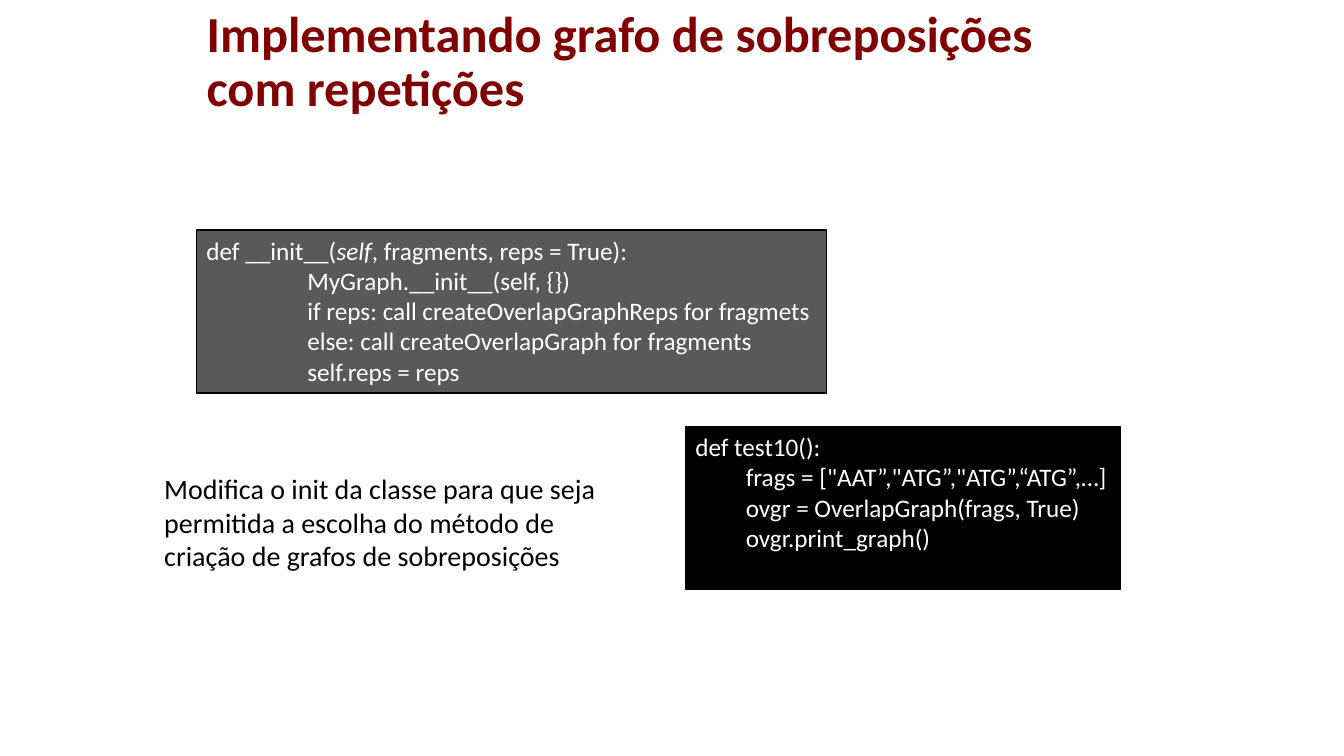
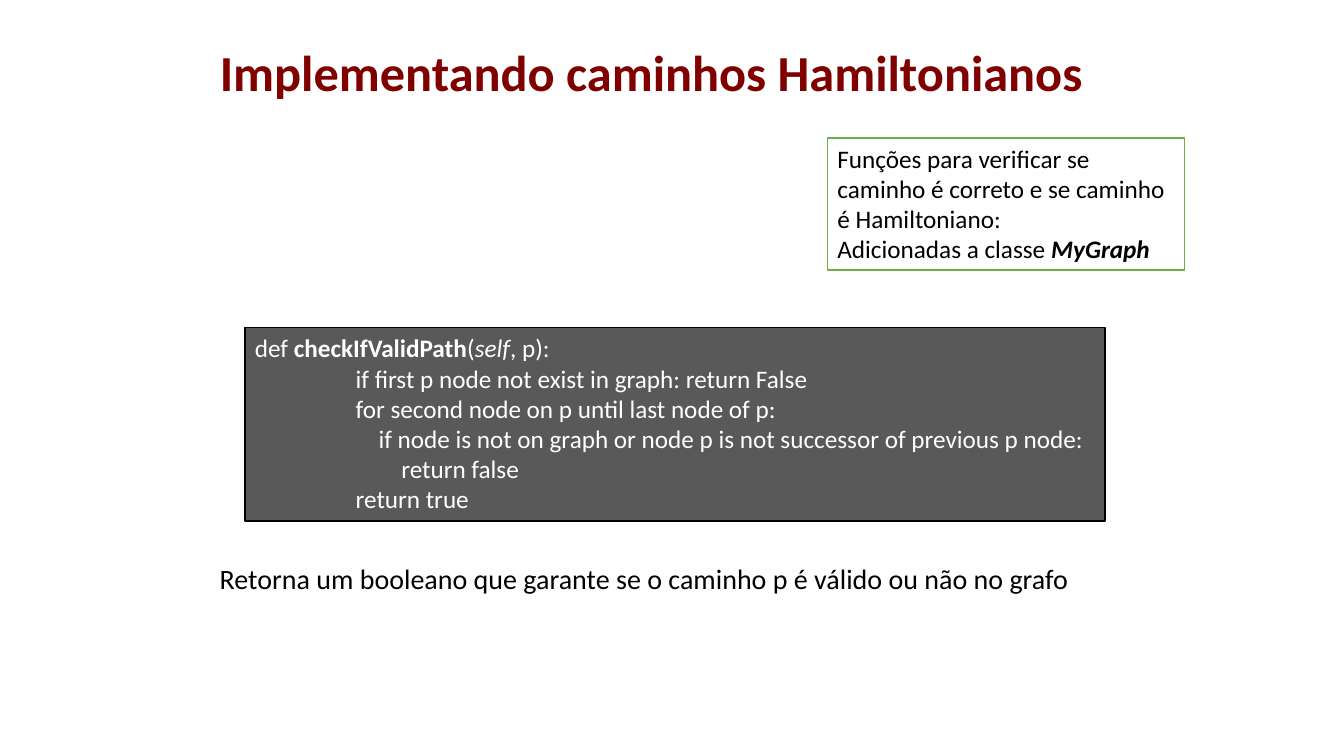
from pptx import Presentation
from pptx.dml.color import RGBColor
from pptx.enum.text import MSO_ANCHOR, MSO_AUTO_SIZE, PP_ALIGN
from pptx.util import Pt

COLORS = {
    "title": "800000",
    "text": "000000",
    "code": "FFFFFF",
    "gray": "595959",
    "black": "000000",
    "white": "FFFFFF",
    "green": "70AD47",
}
FONT = "Calibri"
TAB = 72       # one code tab
STEP = 16.3    # one nested level inside a tab


def rgb(name):
    return RGBColor.from_string(COLORS[name])


def add_text(s, box, lines, size=18, color="text", fill=None, line=None):
    """Each line is (indent, run, ...); a run is a text or (text, style), style "b" and/or "i"."""
    sp = s.shapes.add_textbox(*[Pt(v) for v in box])
    if fill:
        sp.fill.solid()
        sp.fill.fore_color.rgb = rgb(fill)
    if line:
        sp.line.color.rgb = rgb(line)
        sp.line.width = Pt(1)
    tf = sp.text_frame
    tf.word_wrap = True
    for i, (indent, *runs) in enumerate(lines):
        p = tf.paragraphs[0] if i == 0 else tf.add_paragraph()
        p.font.name = FONT
        p.font.size = Pt(size)
        p.font.color.rgb = rgb(color)
        if indent:
            p._p.get_or_add_pPr().set("marL", str(Pt(indent)))
        for run in runs:
            text, style = (run, "") if isinstance(run, str) else run
            r = p.add_run()
            r.text = text
            if "b" in style:
                r.font.bold = True
            if "i" in style:
                r.font.italic = True


prs = Presentation()
prs.slide_width, prs.slide_height = Pt(960), Pt(540)

# Titles
titles = [
    ("Implementando grafo de sobreposições\vcom repetições", 140.4, 0),
    ("Implementando caminhos Hamiltonianos", 149.8, 8.6),
]
for text, left, top in titles:
    s = prs.slides.add_slide(prs.slide_layouts[5])
    title = s.shapes.title
    title.left, title.top, title.width, title.height = Pt(left), Pt(top), Pt(648), Pt(90)
    tf = title.text_frame
    tf.text = text
    tf.auto_size = MSO_AUTO_SIZE.NONE
    tf.vertical_anchor = MSO_ANCHOR.MIDDLE
    p = tf.paragraphs[0]
    p.alignment = PP_ALIGN.LEFT
    p.line_spacing = 0.9
    p.font.name = FONT
    p.font.size = Pt(36)
    p.font.bold = True
    p.font.color.rgb = rgb("title")

overlap, hamilton = prs.slides

# Slide 1: overlap graph with repetitions
add_text(overlap, (140.4, 164.2, 450, 116.6), [
    (0, "def __init__(", ("self", "i"), ", fragments, reps = True):"),
    (TAB, "MyGraph.__init__(self, {})"),
    (TAB, "if reps: call createOverlapGraphReps for fragmets"),
    (TAB, "else: call createOverlapGraph for fragments"),
    (TAB, "self.reps = reps"),
], color="code", fill="gray", line="black")
add_text(overlap, (489.6, 304.6, 311, 116.6), [
    (0, "def test10():"),
    (TAB / 2, 'frags = ["AAT”,"ATG”,"ATG”,“ATG”,…]'),
    (TAB / 2, "ovgr = OverlapGraph(frags, True)"),
    (TAB / 2, "ovgr.print_graph()"),
], color="code", fill="black", line="black")
add_text(overlap, (110.2, 333.4, 354.2, 80), [
    (0, "Modifica o init da classe para que seja permitida a escolha do método "
        "de criação de grafos de sobreposições"),
], size=20)

# Slide 2: Hamiltonian paths
add_text(hamilton, (175, 234, 614.2, 138.2), [
    (0, "def ", ("checkIfValidPath", "b"), "(", ("self", "i"), ", p):"),
    (TAB, "if first p node not exist in graph: return False"),
    (TAB, "for second node on p until last node of p:"),
    (TAB + STEP, "if node is not on graph or node p is not successor of previous p node:"),
    (TAB + 2 * STEP, "return false"),
    (TAB, "return true"),
], color="code", fill="gray", line="black")
add_text(hamilton, (591.1, 98.6, 254.9, 94.3), [
    (0, "Funções para verificar se caminho é correto e se caminho é Hamiltoniano:"),
    (0, "Adicionadas a classe ", ("MyGraph", "bi")),
], fill="white", line="green")
add_text(hamilton, (149.8, 397.4, 622.8, 31.7), [
    (0, "Retorna um booleano que garante se o caminho p é válido ou não no grafo"),
], size=20)

prs.save("out.pptx")
